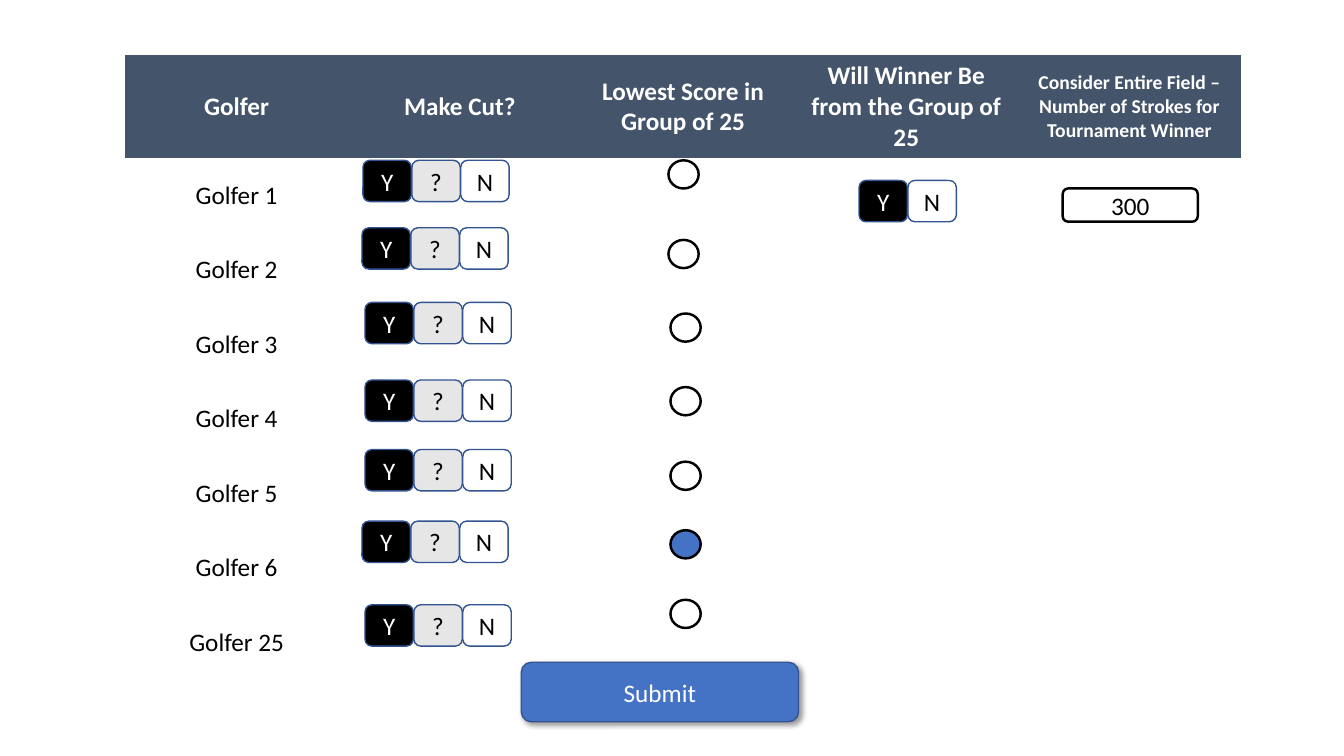
from lxml import etree
from pptx import Presentation
from pptx import util as u
from pptx.dml import color
from pptx.enum import shapes, text
from pptx.oxml import ns

FONT = {"name": "Calibri", "size": u.Pt(18), "bold": False}
HEADS = ["Golfer", "Make Cut?", "Lowest Score in Group of 25",
         "Will Winner Be from the Group of 25",
         "Consider Entire Field – Number of Strokes for Tournament Winner"]
ROWS = [("Golfer 1", 3.6, 1.59, 6.63, 1.59), ("Golfer 2", 3.59, 2.26, 6.63, 2.38),
        ("Golfer 3", 3.62, 3, 6.65, 3.11), ("Golfer 4", 3.62, 3.77, 6.65, 3.84),
        ("Golfer 5", 3.62, 4.46, 6.65, 4.58), ("Golfer 6", 3.59, 5.17, 6.65, 5.26),
        ("Golfer 25", 3.62, 6, 6.65, 5.95)]
PICK = "Golfer 6"
KEYS = {"Y": ("000000", "FFFFFF"), "N": (None, "000000"), "?": ("E7E6E6", "000000")}
KEY_W, KEY_H = 0.48, 0.41
BLUE, EDGE = "4472C4", "325491"


def paint(fmt, hue):
    """Fill a format with a hex colour, or clear it."""
    if hue is None:
        fmt.background()
    else:
        fmt.solid()
        fmt.fore_color.rgb = color.RGBColor.from_string(hue)


def write(frame, words, hue, **style):
    """Put one centred paragraph into a text frame."""
    par = frame.paragraphs[0]
    par.alignment = text.PP_ALIGN.CENTER
    run = par.add_run()
    run.text = words
    for name, value in {**FONT, **style}.items():
        setattr(run.font, name, value)
    paint(run.font.fill, hue)


def draw(slide, kind, box, fill, edge, width, words="", hue="000000"):
    """Add a flat outlined shape with optional centred words."""
    shape = slide.shapes.add_shape(kind, *map(u.Inches, box))
    shape.shadow.inherit = False
    paint(shape.fill, fill)
    paint(shape.line.fill, edge)
    shape.line.width = u.Pt(width)
    shape.text_frame.vertical_anchor = text.MSO_ANCHOR.MIDDLE
    if words:
        write(shape.text_frame, words, hue)
    return shape


def keys(slide, left, top, order):
    """Draw a strip of answer keys, with the unsure key in front."""
    for sign in sorted(order, key=lambda item: item == "?"):
        fill, hue = KEYS[sign]
        box = (left + order.index(sign) * (KEY_W + 0.005), top, KEY_W, KEY_H)
        draw(slide, shapes.MSO_SHAPE.ROUNDED_RECTANGLE, box, fill, EDGE, 1, sign, hue)


def grid(slide, left, top, width, head, step):
    """Draw the table of golfers below its header row."""
    high = head + step * len(ROWS)
    table = slide.shapes.add_table(len(ROWS) + 1, len(HEADS),
                                   *map(u.Inches, (left, top, width, high))).table
    table.horz_banding = False
    style = table._tbl.tblPr.find(ns.qn("a:tableStyleId"))
    style.text = "{2D5ABB26-0587-4C30-8999-92F81FD0307C}"
    for num, row in enumerate(table.rows):
        row.height = u.Inches(step if num else head)
        for cell in row.cells:
            cell.vertical_anchor = text.MSO_ANCHOR.MIDDLE
            paint(cell.fill, None if num else "44546A")
    for col, words in enumerate(HEADS):
        size = u.Pt(14 if col == len(HEADS) - 1 else 18)
        write(table.cell(0, col).text_frame, words, "FFFFFF", bold=True, size=size)
    for num, row in enumerate(ROWS, 1):
        write(table.cell(num, 0).text_frame, row[0], "000000")


def picks(slide):
    """Draw the cut keys and the low score button of each golfer."""
    for name, left, top, dot_x, dot_y in ROWS:
        keys(slide, left, top, "Y?N")
        draw(slide, shapes.MSO_SHAPE.OVAL, (dot_x, dot_y, 0.3, 0.28),
             BLUE if name == PICK else None, "000000", 1.75)


def submit(slide, box):
    """Draw the submit button with a soft shadow."""
    shape = draw(slide, shapes.MSO_SHAPE.ROUNDED_RECTANGLE, box, BLUE, EDGE, 1,
                 "Submit", "FFFFFF")
    effect = shape._element.spPr.find(ns.qn("a:effectLst"))
    shade = etree.SubElement(effect, ns.qn("a:outerShdw"), blurRad=str(u.Pt(4)),
                             dist=str(u.Pt(3)), dir="2700000", algn="tl",
                             rotWithShape="0")
    tint = etree.SubElement(shade, ns.qn("a:srgbClr"), val="000000")
    etree.SubElement(tint, ns.qn("a:alpha"), val="40000")


def main():
    """Build and save the slide."""
    deck = Presentation()
    deck.slide_width, deck.slide_height = u.Inches(13.33), u.Inches(7.5)
    slide = deck.slides.add_slide(deck.slide_layouts[6])
    grid(slide, 1.24, 0.55, 11.07, 1.02, 0.74)
    picks(slide)
    keys(slide, 8.52, 1.79, "YN")
    draw(slide, shapes.MSO_SHAPE.ROUNDED_RECTANGLE, (10.54, 1.87, 1.34, 0.33),
         None, "000000", 1.75, "300")
    submit(slide, (5.17, 6.57, 2.75, 0.59))
    deck.save("out.pptx")


if __name__ == "__main__":
    main()
